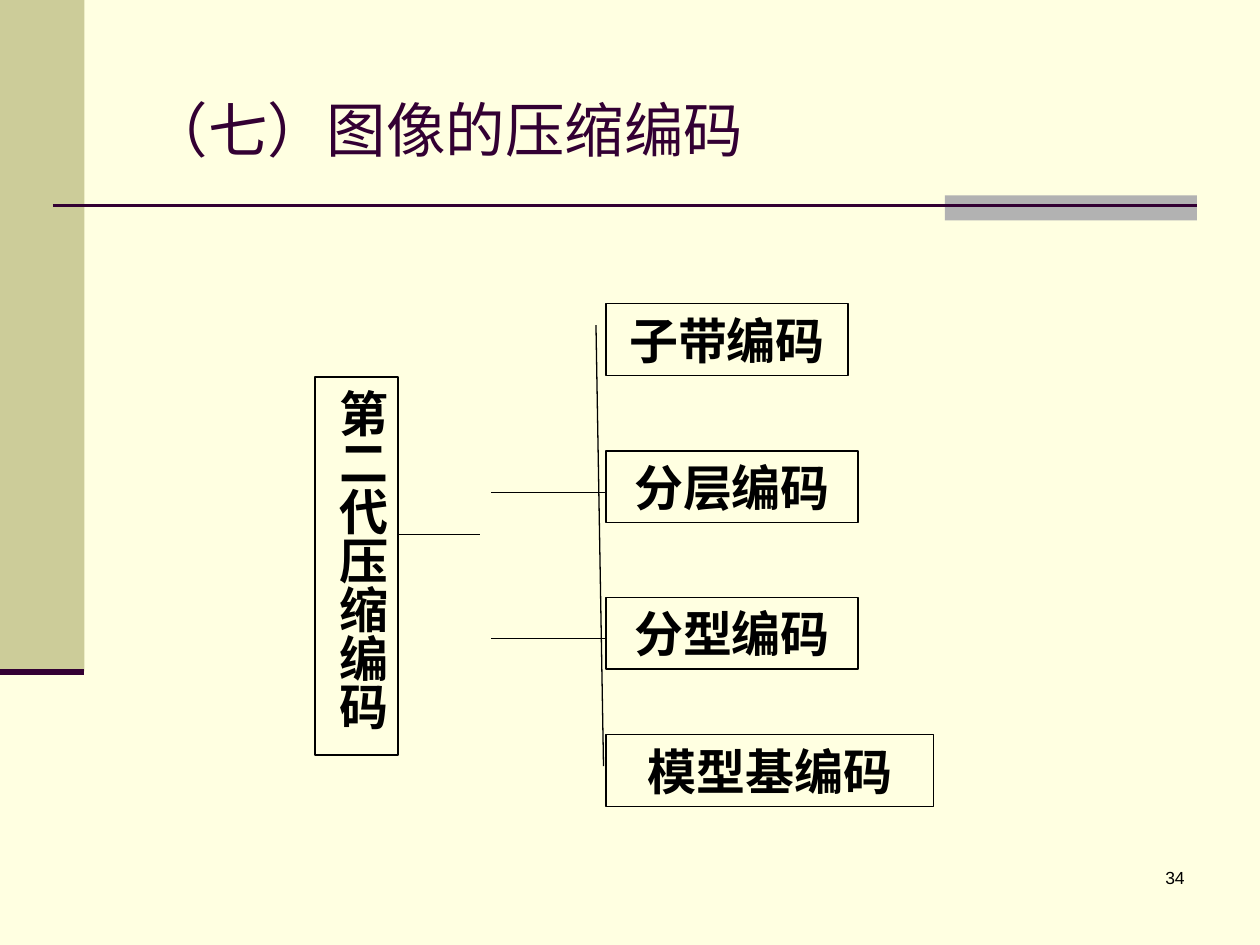
from lxml import etree
from pptx import Presentation
from pptx.dml.color import RGBColor
from pptx.enum.shapes import MSO_CONNECTOR, MSO_SHAPE
from pptx.enum.text import MSO_ANCHOR, PP_ALIGN
from pptx.oxml.ns import qn
from pptx.util import Inches, Pt

RECTANGLE = MSO_SHAPE.RECTANGLE
STRAIGHT = MSO_CONNECTOR.STRAIGHT
MIDDLE, TOP = MSO_ANCHOR.MIDDLE, MSO_ANCHOR.TOP
LEFT, CENTER, RIGHT = PP_ALIGN.LEFT, PP_ALIGN.CENTER, PP_ALIGN.RIGHT

CREAM = RGBColor(0xFF, 0xFF, 0xE1)
OLIVE = RGBColor(0xCC, 0xCC, 0x99)
GRAY = RGBColor(0xB2, 0xB2, 0xB2)
PLUM = RGBColor(0x33, 0x00, 0x33)
BLACK = RGBColor(0x00, 0x00, 0x00)

CHINESE_FONT = "Noto Sans CJK SC"
TITLE_ONLY = 5


def add_line(slide, start, end, color=BLACK, width=0.75):
    points = [Inches(value) for value in (*start, *end)]
    line = slide.shapes.add_connector(STRAIGHT, *points)
    line.line.color.rgb = color
    line.line.width = Pt(width)
    etree.SubElement(line._element.spPr, qn("a:effectLst"))


def add_rectangle(slide, box, fill=None, outline=None):
    """Add a rectangle; outline is a line width in points."""
    shape = slide.shapes.add_shape(RECTANGLE, *[Inches(value) for value in box])
    shape.shadow.inherit = False
    if fill is None:
        shape.fill.background()
    else:
        shape.fill.solid()
        shape.fill.fore_color.rgb = fill
    if outline is None:
        shape.line.fill.background()
    else:
        shape.line.color.rgb = BLACK
        shape.line.width = Pt(outline)
    return shape


def write(shape, text, size, font, color=BLACK, bold=False, align=LEFT, anchor=MIDDLE):
    frame = shape.text_frame
    frame.word_wrap = True
    frame.vertical_anchor = anchor
    paragraph = frame.paragraphs[0]
    paragraph.alignment = align
    run = paragraph.add_run()
    run.text = text
    run.font.size = Pt(size)
    run.font.name = font
    run.font.bold = bold
    run.font.color.rgb = color
    east_asian = etree.SubElement(run.font._element, qn("a:ea"))
    east_asian.set("typeface", CHINESE_FONT)


def add_decoration(slide, side_width, side_height, rule_y):
    """Draw the side band and the rule below the title."""
    add_rectangle(slide, (0, 0, side_width, side_height), OLIVE)
    add_rectangle(slide, (7.5, rule_y - 0.08, 2, 0.2), GRAY)
    add_line(slide, (0.42, rule_y), (9.5, rule_y), PLUM, 1.5)
    add_line(slide, (0, side_height), (side_width, side_height), PLUM, 3.5)


def add_title(slide, box, text):
    title = slide.shapes.title
    title.left, title.top, title.width, title.height = [Inches(value) for value in box]
    write(title, text, 34, CHINESE_FONT, PLUM)


def add_root(slide, box, text):
    """Add the box with vertical text and its short branch to the right."""
    left, top, width, height = box
    shape = add_rectangle(slide, box, outline=1)
    frame = shape.text_frame
    frame.margin_left = frame.margin_right = Inches(0.05)
    frame.margin_top = frame.margin_bottom = Inches(0.1)
    write(shape, text, 28, "Times New Roman", bold=True, anchor=TOP)
    frame._txBody.bodyPr.set("vert", "eaVert")
    branch_y = 4.24
    add_line(slide, (left + width, branch_y), (3.81, branch_y))


def add_methods(slide, left, height, methods):
    """Stack the method boxes, each given as text, top, width and whether it has a branch."""
    add_line(slide, (left - 0.08, 2.58), (left - 0.02, 6.08))
    for text, top, width, has_branch in methods:
        shape = add_rectangle(slide, (left, top, width, height), outline=0.75)
        write(shape, text, 28, "Times New Roman", bold=True, align=CENTER)
        if has_branch:
            branch_y = top + 0.33
            add_line(slide, (3.9, branch_y), (left, branch_y))


def add_page_number(slide, box, number):
    shape = slide.shapes.add_textbox(*[Inches(value) for value in box])
    write(shape, number, 10, "Arial", align=RIGHT, anchor=TOP)


def main():
    presentation = Presentation()
    presentation.slide_width = Inches(10)
    presentation.slide_height = Inches(7.5)
    slide = presentation.slides.add_slide(presentation.slide_layouts[TITLE_ONLY])
    slide.background.fill.solid()
    slide.background.fill.fore_color.rgb = CREAM

    add_decoration(slide, 0.67, 5.33, 1.63)
    add_title(slide, (1.08, 0.64, 6.61, 0.76), "（七）图像的压缩编码")
    add_root(slide, (2.5, 2.99, 0.66, 3), "第二代压缩编码")
    add_methods(slide, 4.81, 0.57, [
        ("子带编码", 2.41, 1.92, False),
        ("分层编码", 3.58, 2, True),
        ("分型编码", 4.74, 2, True),
        ("模型基编码", 5.83, 2.6, False),
    ])
    add_page_number(slide, (7.42, 6.83, 2.08, 0.5), "34")
    presentation.save("out.pptx")


if __name__ == "__main__":
    main()
